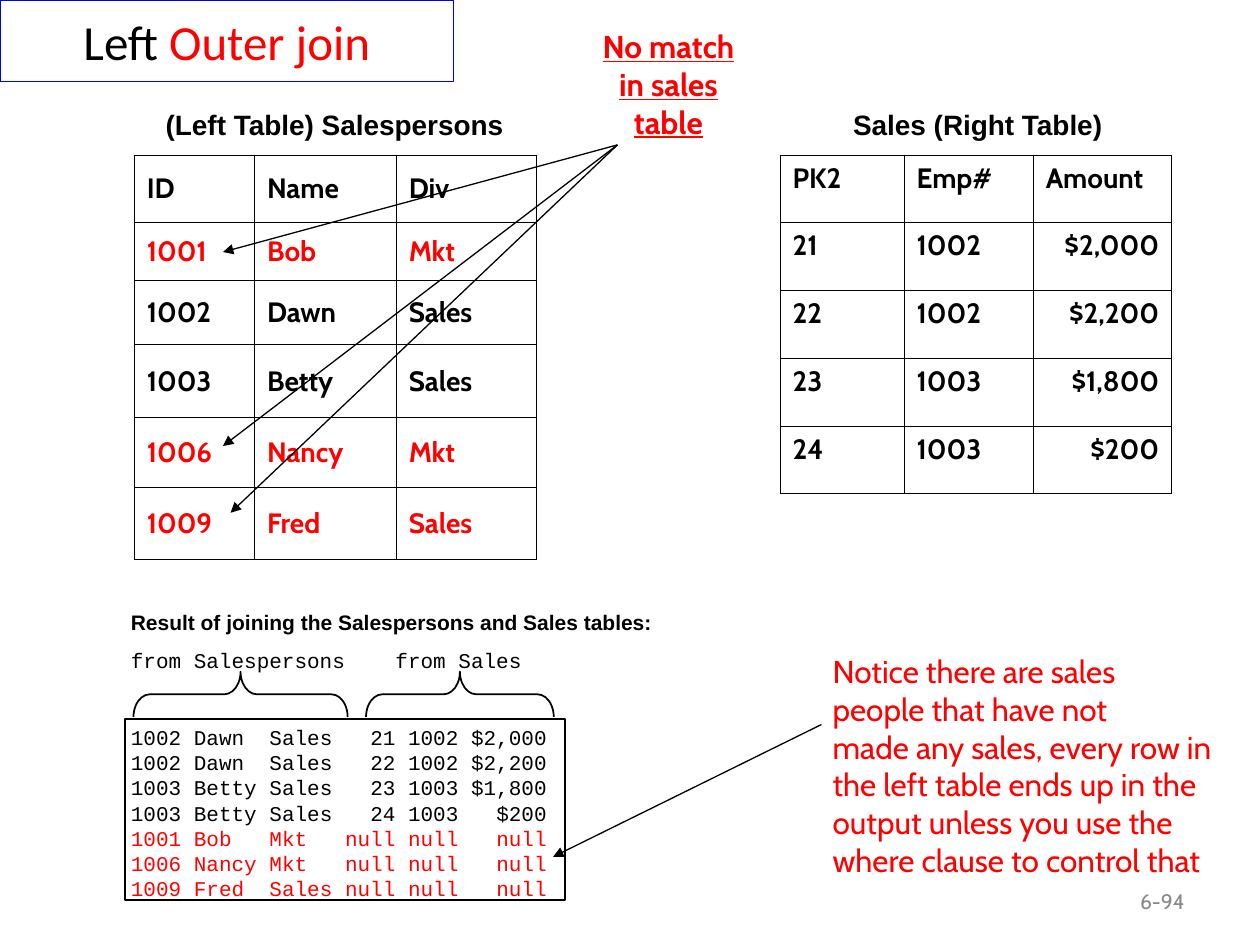
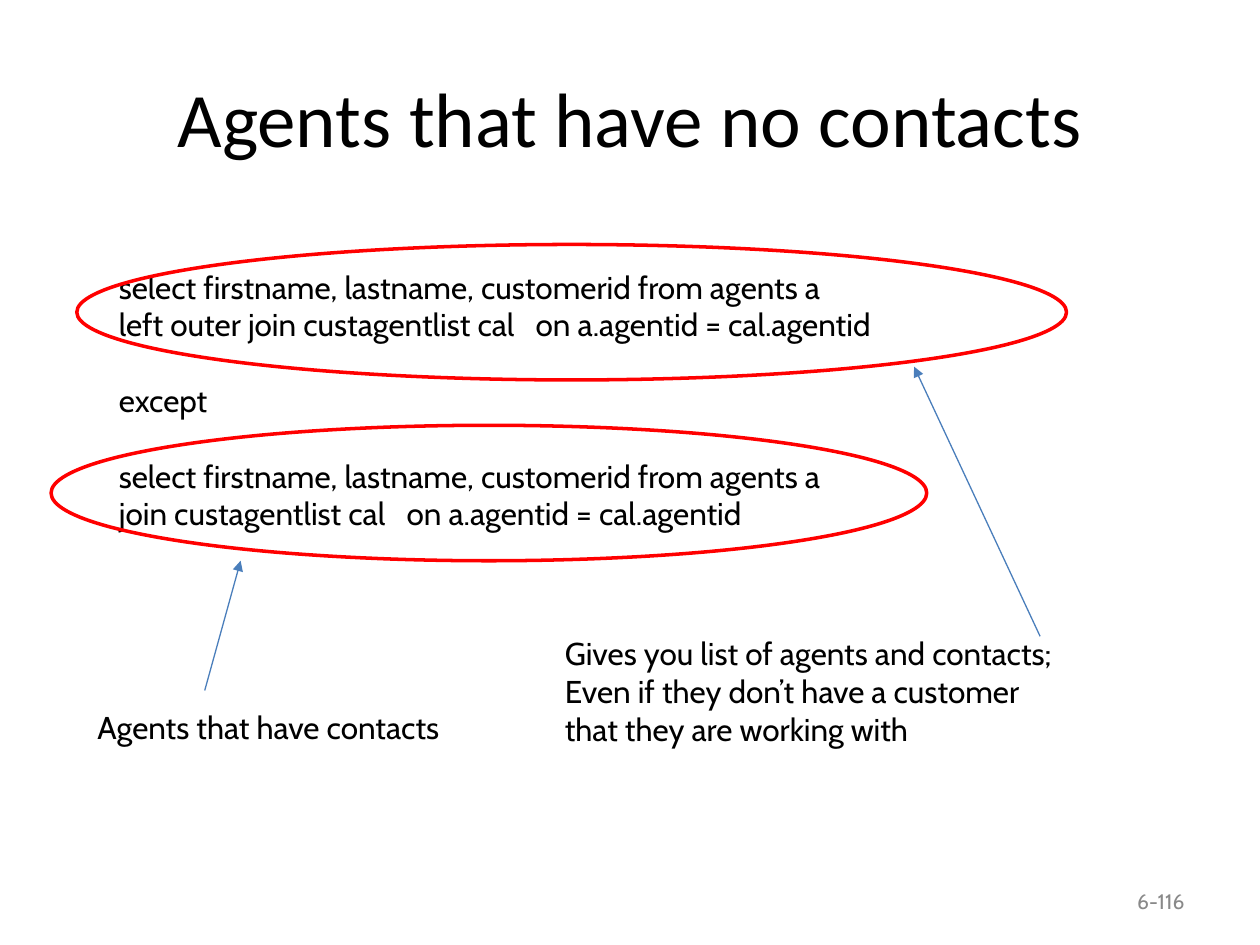
"""Build two slides on outer joins."""
from dataclasses import dataclass

from lxml import etree
from pptx import Presentation, util as u
from pptx.dml.color import RGBColor
from pptx.enum import shapes, text
from pptx.oxml.ns import qn

COLS, ROWS = 100, 75
WIDTH, HEIGHT = u.Inches(10), u.Inches(7.5)
BLACK, RED, BLUE, STEEL, GREY = "000000", "FF0000", "0000FF", "4A7EBB", "898989"
BODY, TITLE, LABEL, MONO = "Cabin", "Calibri", "Arial", "Courier New"
LEFT, CENTER, RIGHT = text.PP_ALIGN.LEFT, text.PP_ALIGN.CENTER, text.PP_ALIGN.RIGHT
TOP, MIDDLE = text.MSO_ANCHOR.TOP, text.MSO_ANCHOR.MIDDLE
SIDES = ("lnL", "lnR", "lnT", "lnB")
RESULT_TABS = ((0.5, "l"), (1.1, "l"), (2.1, "r"), (2.2, "l"), (3.3, "r"))
SOURCE_TABS = ((2.1, "l"),)


@dataclass(frozen=True)
class Box:
    """A place on the slide grid."""
    col: float
    row: float
    cols: float
    rows: float

    def emu(self) -> tuple[int, int, int, int]:
        """Return left, top, width and height."""
        return gx(self.col), gy(self.row), gx(self.cols), gy(self.rows)


@dataclass(frozen=True)
class Arrow:
    """A straight arrow between two grid points."""
    start: tuple[float, float]
    end: tuple[float, float]
    color: str = BLACK


@dataclass(frozen=True)
class Grid:
    """A table with its place, sizes, rows of text and merged ranges."""
    col: float
    row: float
    widths: tuple[float, ...]
    heights: tuple[float, ...]
    rows: tuple[str, ...]
    anchor: text.MSO_ANCHOR
    red_ids: tuple[str, ...] = ()
    merges: tuple[tuple[int, int, int, int], ...] = ()


def gx(cols: float) -> int:
    """Turn grid columns into a length."""
    return int(WIDTH * cols / COLS)


def gy(rows: float) -> int:
    """Turn grid rows into a length."""
    return int(HEIGHT * rows / ROWS)


def rgb(color: str) -> RGBColor:
    """Turn a hex string into a colour."""
    return RGBColor.from_string(color)


def write(tf, content: str, *, size=18, font=BODY, color=BLACK, bold=False, underline=False,
          align=LEFT, before=0, spacing=None, tabs=(), join=False) -> None:
    """Add a formatted paragraph, or a run to the last one."""
    p = tf.paragraphs[-1]
    if p.runs and not join:
        p = tf.add_paragraph()
    if tabs:
        tab_list = etree.SubElement(p._p.get_or_add_pPr(), qn("a:tabLst"))
        for pos, kind in tabs:
            etree.SubElement(tab_list, qn("a:tab"), pos=str(u.Inches(pos)), algn=kind)
    p.alignment = align
    if before:
        p.space_before = u.Pt(before)
    if spacing:
        p.line_spacing = u.Pt(spacing)
    r = p.add_run()
    r.text = content
    r.font.size, r.font.name = u.Pt(size), font
    r.font.bold, r.font.underline = bold, underline
    r.font.color.rgb = rgb(color)


def text_box(s, box: Box, content: str = "", *, anchor=TOP, wrap=True, **fmt):
    """Add a text box with one paragraph per line and return its shape."""
    sp = s.shapes.add_textbox(*box.emu())
    tf = sp.text_frame
    tf.word_wrap, tf.vertical_anchor = wrap, anchor
    for line in content.splitlines():
        write(tf, line, **fmt)
    return sp


def title(s, box: Box, content: str, size: int):
    """Add a slide title."""
    return text_box(s, box, content, anchor=MIDDLE, size=size, font=TITLE, align=CENTER)


def outline(s, kind, box: Box, color: str, weight: float, rotation: float = 0):
    """Add an unfilled preset shape."""
    sp = s.shapes.add_shape(kind, *box.emu())
    sp.shadow.inherit = False
    sp.fill.background()
    sp.line.color.rgb, sp.line.width = rgb(color), u.Pt(weight)
    sp.rotation = rotation
    return sp


def brace(s, center: float, span: float) -> None:
    """Add a brace that points up over part of the result."""
    depth, middle = 3.6, 55.1
    box = Box(center - depth / 2, middle - span / 2, depth, span)
    sp = outline(s, shapes.MSO_SHAPE.RIGHT_BRACE, box, BLACK, 1, 270)
    sp.adjustments[0] = 0.36


def draw_arrow(s, arrow: Arrow) -> None:
    """Draw an arrow with a triangle at its end."""
    (x1, y1), (x2, y2) = arrow.start, arrow.end
    sp = s.shapes.add_connector(shapes.MSO_CONNECTOR.STRAIGHT, gx(x1), gy(y1), gx(x2), gy(y2))
    sp.line.color.rgb, sp.line.width = rgb(arrow.color), u.Pt(0.75)
    etree.SubElement(sp.line._get_or_add_ln(), qn("a:tailEnd"), type="triangle")
    etree.SubElement(sp._element.spPr, qn("a:effectLst"))


def border(cell, ruled: tuple[str, ...]) -> None:
    """Rule the given sides of a cell in thin black and leave it unfilled."""
    tc_pr = cell._tc.get_or_add_tcPr()
    for side in SIDES:
        ln = etree.SubElement(tc_pr, qn(f"a:{side}"), w=str(u.Pt(0.45)))
        if side in ruled:
            fill = etree.SubElement(ln, qn("a:solidFill"))
            etree.SubElement(fill, qn("a:srgbClr"), val=BLACK)
        else:
            etree.SubElement(ln, qn("a:noFill"))
    cell.fill.background()


def draw_grid(s, grid: Grid) -> None:
    """Draw a table with ruled text rows and open rows below them."""
    box = Box(grid.col, grid.row, sum(grid.widths), sum(grid.heights))
    table = s.shapes.add_table(len(grid.heights), len(grid.widths), *box.emu()).table
    table.first_row = table.horz_banding = False
    for column, width in zip(table.columns, grid.widths):
        column.width = gx(width)
    for i, (row, height) in enumerate(zip(table.rows, grid.heights)):
        row.height = gy(height)
        values = grid.rows[i].split() if i < len(grid.rows) else []
        color = RED if values and values[0] in grid.red_ids else BLACK
        ruled = SIDES if values else ("lnT",) if i == len(grid.rows) else ()
        for cell in row.cells:
            border(cell, ruled)
            cell.vertical_anchor = grid.anchor
        for cell, value in zip(row.cells, values):
            write(cell.text_frame, value, size=16, bold=True, color=color,
                  align=RIGHT if value.startswith("$") else LEFT)
    for top, left, bottom, right in grid.merges:
        table.cell(top, left).merge(table.cell(bottom, right))


def new_slide(prs, number: str):
    """Add a blank slide with its number."""
    s = prs.slides.add_slide(prs.slide_layouts[6])
    text_box(s, Box(71.7, 69.5, 23.3, 4), number, anchor=MIDDLE, size=12, color=GREY, align=RIGHT)
    return s


def join_result(s) -> None:
    """Show the joined rows with braces and a frame."""
    tf = text_box(s, Box(9.4, 47.85, 46.9, 24.2)).text_frame
    write(tf, "Result of joining the Salespersons and Sales tables:",
          size=12, font=LABEL, bold=True, spacing=14.4)
    mono = dict(size=12, font=MONO, spacing=14.4)
    write(tf, "from Salespersons\tfrom Sales", before=7.5, tabs=SOURCE_TABS, **mono)
    lines = ("1002 Dawn Sales 21 1002 $2,000", "1002 Dawn Sales 22 1002 $2,200",
             "1003 Betty Sales 23 1003 $1,800", "1003 Betty Sales 24 1003 $200",
             "1001 Bob Mkt null null null", "1006 Nancy Mkt null null null",
             "1009 Fred Sales null null null")
    for i, line in enumerate(lines):
        write(tf, "\t".join(line.split()), color=RED if "null" in line else BLACK,
              before=0 if i else 29.6, tabs=RESULT_TABS, **mono)
    brace(s, 19.1, 17)
    brace(s, 36.5, 14.9)
    outline(s, shapes.MSO_SHAPE.RECTANGLE, Box(9.9, 57.05, 34.95, 14.4), BLACK, 1)


def left_join_slide(prs) -> None:
    """Build the left outer join slide."""
    s = new_slide(prs, "6-94")
    sp = title(s, Box(0, 0, 36, 6.45), "Left ", 28)
    write(sp.text_frame, "Outer join", size=28, font=TITLE, color=RED, align=CENTER, join=True)
    sp.line.color.rgb, sp.line.width = rgb(BLUE), u.Pt(0.75)

    draw_grid(s, Grid(10.65, 12.3, (9.55, 11.25, 11.1), (5.35, 4.6, 5.1, 5.8, 5.55, 5.7),
                      ("ID Name Div", "1001 Bob Mkt", "1002 Dawn Sales", "1003 Betty Sales",
                       "1006 Nancy Mkt", "1009 Fred Sales"), MIDDLE, ("1001", "1006", "1009")))
    draw_grid(s, Grid(61.9, 12.3, (9.85, 10.25, 11), (5.38,) * 6 + (5.2, 3.7),
                      ("PK2 Emp# Amount", "21 1002 $2,000", "22 1002 $2,200",
                       "23 1003 $1,800", "24 1003 $200"), TOP,
                      merges=((5, 0, 6, 0), (5, 1, 5, 2), (6, 1, 6, 2), (7, 0, 7, 2))))
    for col, cols, caption in ((10.8, 31.5, "(Left Table) Salespersons"),
                               (62.4, 30.4, "Sales (Right Table)")):
        text_box(s, Box(col, 8.05, cols, 3.7), caption,
                 size=16, font=LABEL, bold=True, align=CENTER)

    join_result(s)
    text_box(s, Box(65.1, 51.25, 33.7, 22),
             "Notice there are sales\npeople that have not\n"
             "made any sales, every row in the left table ends up in the output "
             "unless you use the where clause to control that", color=RED)
    draw_arrow(s, Arrow((65.2, 57.5), (43.9, 68)))
    for end in ((17.7, 20), (17.7, 35.4), (18.3, 40.7)):
        draw_arrow(s, Arrow((49, 11.5), end))
    text_box(s, Box(46.7, 1.65, 12.7, 13), "No match in sales table",
             color=RED, bold=True, underline=True, align=CENTER)


def except_slide(prs) -> None:
    """Build the slide on agents without contacts."""
    s = new_slide(prs, "6-116")
    title(s, Box(5, 3, 90, 12.5), "Agents that have no contacts", 44)
    tf = text_box(s, Box(8.45, 20.75, 69.8, 22), wrap=False).text_frame
    select = "select firstname, lastname, customerid from agents a"
    join = "join custagentlist cal   on a.agentid = cal.agentid"
    for line, before in ((select, 0), (f"left outer {join}", 0), ("except", 21.6),
                         (select, 21.6), (join, 0)):
        write(tf, line, before=before)
    for box in (Box(6.1, 19.4, 78.55, 10.75), Box(4.05, 33.75, 69.5, 10.75)):
        outline(s, shapes.MSO_SHAPE.OVAL, box, RED, 2)
    for start, end in (((82.55, 50.5), (72.55, 29.1)), ((16.25, 54.8), (19.1, 44.5))):
        draw_arrow(s, Arrow(start, end, STEEL))
    text_box(s, Box(43.85, 49.85, 45.3, 10),
             "Gives you list of agents and contacts;\nEven if they don’t have a customer\n"
             "that they are working with", wrap=False)
    text_box(s, Box(5.1, 55.7, 32.4, 4), "Agents that have contacts", wrap=False, align=CENTER)


def main() -> None:
    """Build and save the presentation."""
    prs = Presentation()
    prs.slide_width, prs.slide_height = WIDTH, HEIGHT
    left_join_slide(prs)
    except_slide(prs)
    prs.save("out.pptx")


if __name__ == "__main__":
    main()
